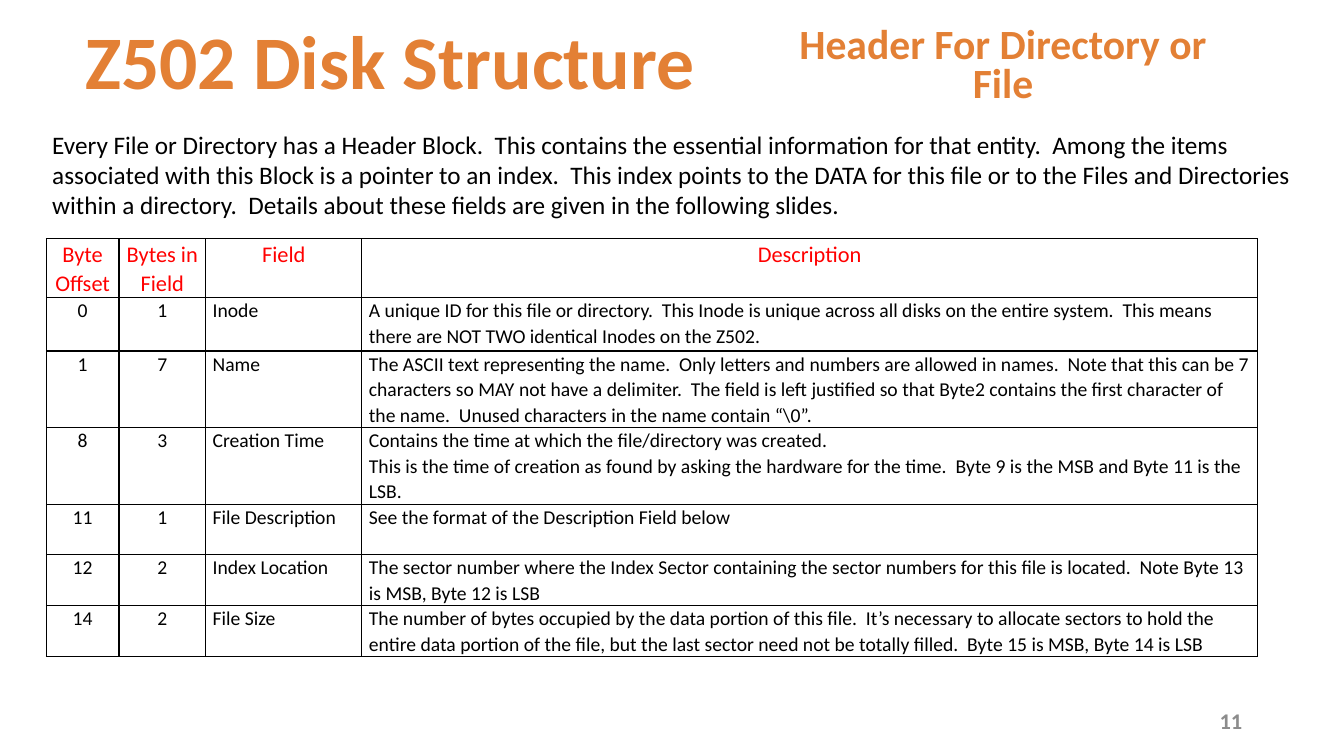
from dataclasses import dataclass

from lxml.etree import SubElement
from pptx import Presentation
from pptx.dml.color import RGBColor
from pptx.enum.text import MSO_ANCHOR as Anchor, MSO_AUTO_SIZE as AutoSize, PP_ALIGN as Align
from pptx.oxml.ns import qn
from pptx.util import Inches, Pt


@dataclass(frozen=True)
class Theme:
    """Font, colours and type sizes of the slide."""
    font: str = "Calibri"
    accent: str = "E38035"
    header: str = "FF0000"
    ink: str = "000000"
    muted: str = "8C8C8C"
    paper: str = "FFFFFF"
    title: float = 54
    subtitle: float = 29.7
    body: float = 18
    small: float = 16
    cell: float = 14


THEME = Theme()
INTRO = (
    "Every File or Directory has a Header Block.  This contains the essential information "
    "for that entity.  Among the items associated with this Block is a pointer to an index.  "
    "This index points to the DATA for this file or to the Files and Directories within a "
    "directory.  Details about these fields are given in the following slides."
)
HEADINGS = ("Byte Offset", "Bytes in Field", "Field", "Description")
FIELDS = (
    ("0", "1", "Inode",
     "A unique ID for this file or directory.  This Inode is unique across all disks on the "
     "entire system.  This means there are NOT TWO identical Inodes on the Z502."),
    ("1", "7", "Name",
     "The ASCII text representing the name.  Only letters and numbers are allowed in names.  "
     "Note that this can be 7 characters so MAY not have a delimiter.  The field is left "
     "justified so that Byte2 contains the first character of the name.  Unused characters "
     "in the name contain “\\0”."),
    ("8", "3", "Creation Time",
     "Contains the time at which the file/directory was created.\n"
     "This is the time of creation as found by asking the hardware for the time.  "
     "Byte 9 is the MSB and Byte 11 is the LSB."),
    ("11", "1", "File Description", "See the format of the Description Field below"),
    ("12", "2", "Index Location",
     "The sector number where the Index Sector containing the sector numbers for this file "
     "is located.  Note Byte 13 is MSB, Byte 12 is LSB"),
    ("14", "2", "File Size",
     "The number of bytes occupied by the data portion of this file.  It’s necessary to "
     "allocate sectors to hold the entire data portion of the file, but the last sector need "
     "not be totally filled.  Byte 15 is MSB, Byte 14 is LSB"),
)
COLUMN_WIDTHS = (0.72, 0.86, 1.55, 8.88)
ROW_HEIGHTS = (0.57, 0.53, 0.75, 0.75, 0.5, 0.5, 0.5)


def assign(obj, values):
    """Set attributes of an object from a dict."""
    for name, value in values.items():
        setattr(obj, name, value)


def write(tf, text, size, color, bold=False, align=Align.LEFT, spacing=1.0):
    """Fill a text frame with formatted paragraphs, one per line."""
    tf.text = text
    for p in tf.paragraphs:
        assign(p, {"alignment": align, "line_spacing": spacing,
                   "space_before": Pt(0), "space_after": Pt(0)})
        for r in p.runs:
            assign(r.font, {"name": THEME.font, "size": Pt(size), "bold": bold})
            r.font.color.rgb = RGBColor.from_string(color)


def place_text(sp, box, text, anchor=Anchor.TOP, **style):
    """Position a text shape and write its text."""
    assign(sp, dict(zip(("left", "top", "width", "height"), map(Inches, box))))
    assign(sp.text_frame, {"word_wrap": True, "auto_size": AutoSize.NONE,
                           "vertical_anchor": anchor})
    write(sp.text_frame, text, **style)


def add_text(s, box, text, **style):
    """Add a text box to the slide."""
    place_text(s.shapes.add_textbox(*map(Inches, box)), box, text, **style)


def add_borders(cell):
    """Draw a thin line on all four sides of a cell."""
    tc_pr = cell._tc.get_or_add_tcPr()
    for side in ("lnL", "lnR", "lnT", "lnB"):
        ln = SubElement(tc_pr, qn(f"a:{side}"), w=str(Pt(1)))
        SubElement(SubElement(ln, qn("a:solidFill")), qn("a:srgbClr"), val=THEME.ink)


def format_cell(cell, text, **style):
    """Write one table cell with its margins, borders and fill."""
    assign(cell, {"margin_left": Inches(0.07), "margin_right": Inches(0.07),
                  "margin_top": 0, "margin_bottom": 0})
    write(cell.text_frame, text, spacing=1.07, **style)
    add_borders(cell)
    cell.fill.solid()
    cell.fill.fore_color.rgb = RGBColor.from_string(THEME.paper)


def add_field_table(s, left, top):
    """Add the table of header block fields."""
    rows = (HEADINGS, *FIELDS)
    size = (sum(COLUMN_WIDTHS), sum(ROW_HEIGHTS))
    table = s.shapes.add_table(len(rows), len(HEADINGS),
                               *map(Inches, (left, top, *size))).table
    assign(table, {"first_row": False, "horz_banding": False})
    for column, width in zip(table.columns, COLUMN_WIDTHS):
        column.width = Inches(width)
    for i, (row, height, texts) in enumerate(zip(table.rows, ROW_HEIGHTS, rows)):
        row.height = Inches(height)
        size, color = (THEME.cell, THEME.ink) if i else (THEME.small, THEME.header)
        for j, (cell, text) in enumerate(zip(row.cells, texts)):
            align = Align.CENTER if i == 0 or j < 2 else Align.LEFT
            format_cell(cell, text, size=size, color=color, align=align)


def main():
    """Build the slide and save it."""
    prs = Presentation()
    assign(prs, {"slide_width": Inches(13.33), "slide_height": Inches(7.5)})
    s = prs.slides.add_slide(prs.slide_layouts.get_by_name("Title Only"))
    heading = {"color": THEME.accent, "bold": True, "align": Align.CENTER,
               "anchor": Anchor.BOTTOM}
    place_text(s.shapes.title, (0.57, 0.18, 6.6, 0.92), "Z502 Disk Structure",
               size=THEME.title, spacing=0.9, **heading)
    add_text(s, (9.42, 6.95, 3, 0.4), "11", size=THEME.small, color=THEME.muted,
             bold=True, align=Align.RIGHT, anchor=Anchor.MIDDLE)
    add_text(s, (0.42, 1.23, 12.66, 1.01), INTRO, size=THEME.body, color=THEME.ink)
    add_text(s, (7.53, 0.29, 4.84, 0.82), "Header For Directory or File",
             size=THEME.subtitle, spacing=0.8, **heading)
    add_field_table(s, 0.46, 2.37)
    prs.save("out.pptx")


if __name__ == "__main__":
    main()
